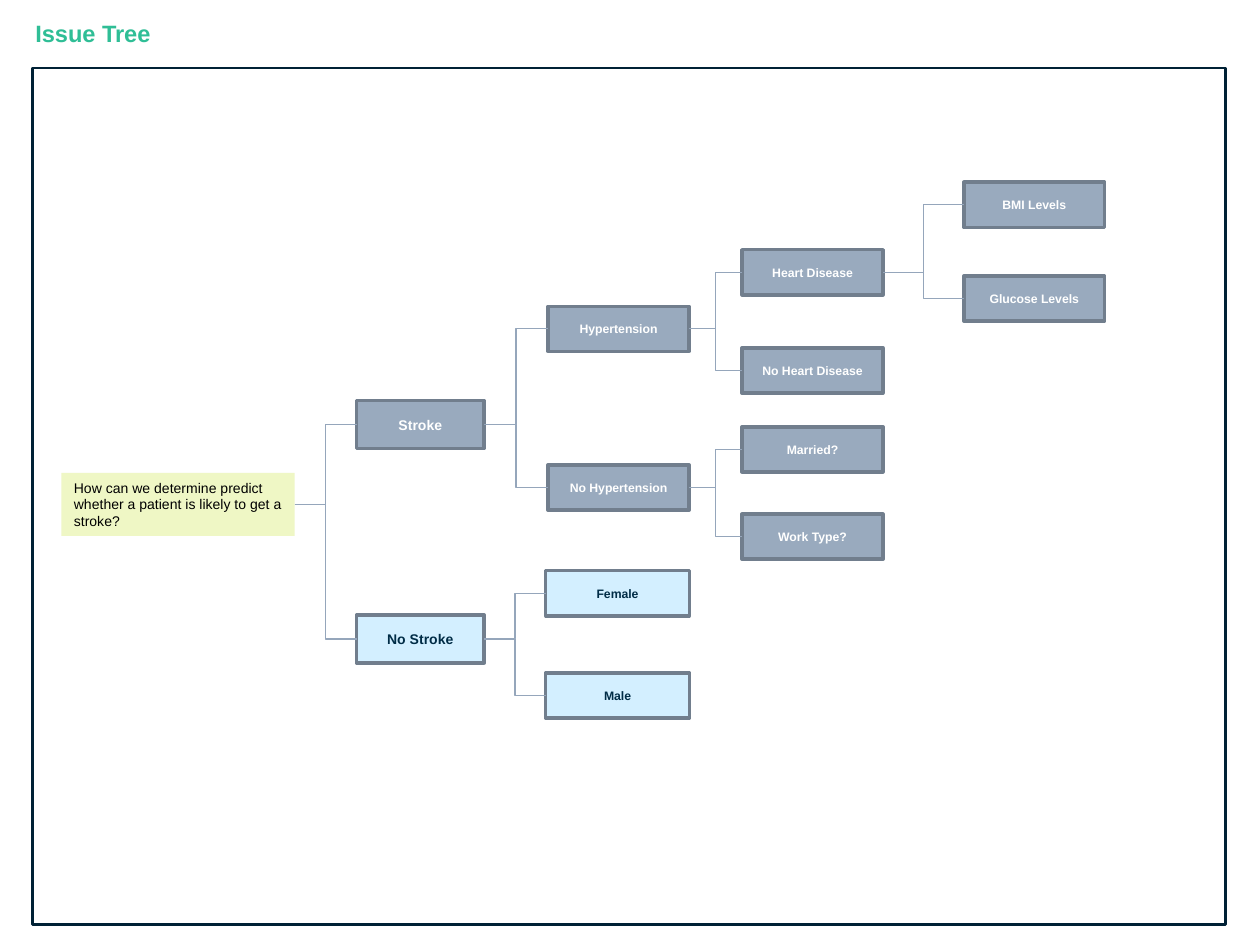
from lxml.etree import SubElement
from pptx import Presentation
from pptx.dml.color import RGBColor
from pptx.enum.shapes import MSO_CONNECTOR, MSO_SHAPE
from pptx.enum.text import MSO_ANCHOR, MSO_AUTO_SIZE, PP_ALIGN
from pptx.oxml.ns import qn
from pptx.util import Cm, Pt

COLORS = {
    "heading": "2FBE96", "frame": "002135", "question": "EFF7C5", "ink": "000000",
    "slate": "99AABE", "white": "FFFFFF", "sky": "D3EFFF", "navy": "002C46",
    "border": "717E8D", "branch": "95A6BB",
}
LEFT_SITE, RIGHT_SITE = 1, 3

# Node styles: box size in cm, fill, border, text colour, and formats
CENTERED = {"alignment": PP_ALIGN.CENTER}
LARGE = {"name": "Arial", "size": Pt(8), "bold": True}
SMALL = {"name": "Arial", "size": Pt(7), "bold": True}
STYLES = {
    "question": dict(size=(4.7, 1.27), fill="question", border=None, ink="ink",
                     font={"name": "Arial", "size": Pt(8), "bold": False},
                     paragraph={"alignment": PP_ALIGN.LEFT}, anchor=MSO_ANCHOR.TOP),
    "stroke": dict(size=(2.57, 0.97), fill="slate", ink="white", font=LARGE),
    "no stroke": dict(size=(2.57, 0.97), fill="sky", ink="navy", font=LARGE),
    "factor": dict(size=(2.84, 0.91), fill="slate", ink="white", font=SMALL),
    "gender": dict(size=(2.9, 0.91), fill="sky", ink="navy", font=SMALL),
}

# Tree nodes: text, style, left and vertical middle inside the frame in cm, children
TREE = (
    "How can we determine predict whether a patient is likely to get a stroke?",
    "question", 0.58, 8.8, [
        ("Stroke", "stroke", 6.53, 7.19, [
            ("Hypertension", "factor", 10.39, 5.26, [
                ("Heart Disease", "factor", 14.3, 4.12, [
                    ("BMI Levels", "factor", 18.77, 2.76, []),
                    ("Glucose Levels", "factor", 18.77, 4.65, []),
                ]),
                ("No Heart Disease", "factor", 14.3, 6.1, []),
            ]),
            ("No Hypertension", "factor", 10.39, 8.46, [
                ("Married?", "factor", 14.3, 7.69, []),
                ("Work Type?", "factor", 14.3, 9.45, []),
            ]),
        ]),
        ("No Stroke", "no stroke", 6.53, 11.51, [
            ("Female", "gender", 10.34, 10.59, []),
            ("Male", "gender", 10.34, 12.65, []),
        ]),
    ])


def color(key):
    return RGBColor.from_string(COLORS[key])


def apply(target, formats):
    for attribute, value in formats.items():
        setattr(target, attribute, value)


def write(frame, text, font, ink, paragraph, anchor):
    apply(frame, {"text": text, "word_wrap": True, "vertical_anchor": anchor,
                  "auto_size": MSO_AUTO_SIZE.NONE})
    apply(frame.paragraphs[0], paragraph)
    run = frame.paragraphs[0].runs[0]
    apply(run.font, font)
    run.font.color.rgb = color(ink)


def add_box(slide, box, fill, border, width):
    shape = slide.shapes.add_shape(MSO_SHAPE.RECTANGLE, *(Cm(v) for v in box))
    shape.shadow.inherit = False
    if fill:
        shape.fill.solid()
        shape.fill.fore_color.rgb = color(fill)
    else:
        shape.fill.background()
    if border:
        shape.line.color.rgb = color(border)
        shape.line.width = Pt(width)
    else:
        shape.line.fill.background()
    return shape


def add_branch(slide, parent, child):
    branch = slide.shapes.add_connector(MSO_CONNECTOR.ELBOW, 0, 0, 0, 0)
    branch.begin_connect(parent, RIGHT_SITE)
    branch.end_connect(child, LEFT_SITE)
    branch.line.color.rgb = color("branch")
    branch.line.width = Pt(0.75)
    SubElement(branch.element.spPr, qn("a:effectLst"))


def add_heading(slide, box, text):
    heading = slide.shapes.title
    apply(heading, dict(zip(("left", "top", "width", "height"), map(Cm, box))))
    write(heading.text_frame, text, {"name": "Arial", "size": Pt(13.5), "bold": True},
          "heading", {"alignment": PP_ALIGN.LEFT}, MSO_ANCHOR.TOP)


def add_tree(slide, box, node):
    text, style_name, x, middle, children = node
    style = STYLES[style_name]
    width, height = style["size"]
    place = (box[0] + x, box[1] + middle - height / 2, width, height)
    issue = add_box(slide, place, style["fill"], style.get("border", "border"), 2)
    write(issue.text_frame, text, style["font"], style["ink"],
          style.get("paragraph", CENTERED), style.get("anchor", MSO_ANCHOR.MIDDLE))
    for child in children:
        add_branch(slide, issue, add_tree(slide, box, child))
    return issue


deck = Presentation()
deck.slide_width, deck.slide_height = Cm(25.4), Cm(19.05)
issue_slide = deck.slides.add_slide(deck.slide_layouts[5])

# Heading
add_heading(issue_slide, (0.46, 0.25, 12.78, 0.84), "Issue Tree")

# Frame and the tree inside it
FRAME = (0.66, 1.37, 24.05, 17.27)
add_box(issue_slide, FRAME, None, "frame", 1.5)
add_tree(issue_slide, FRAME, TREE)

deck.save("out.pptx")
